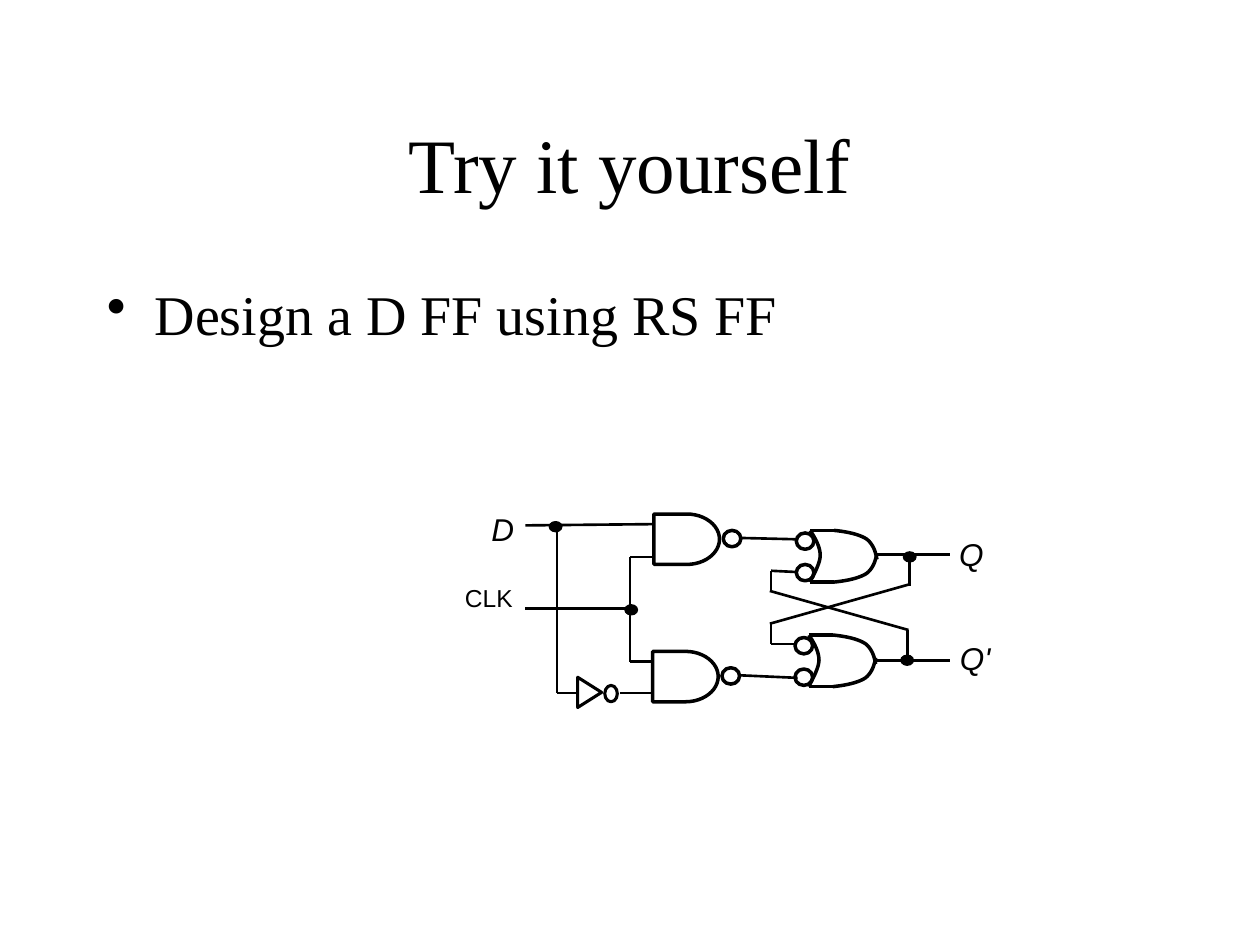
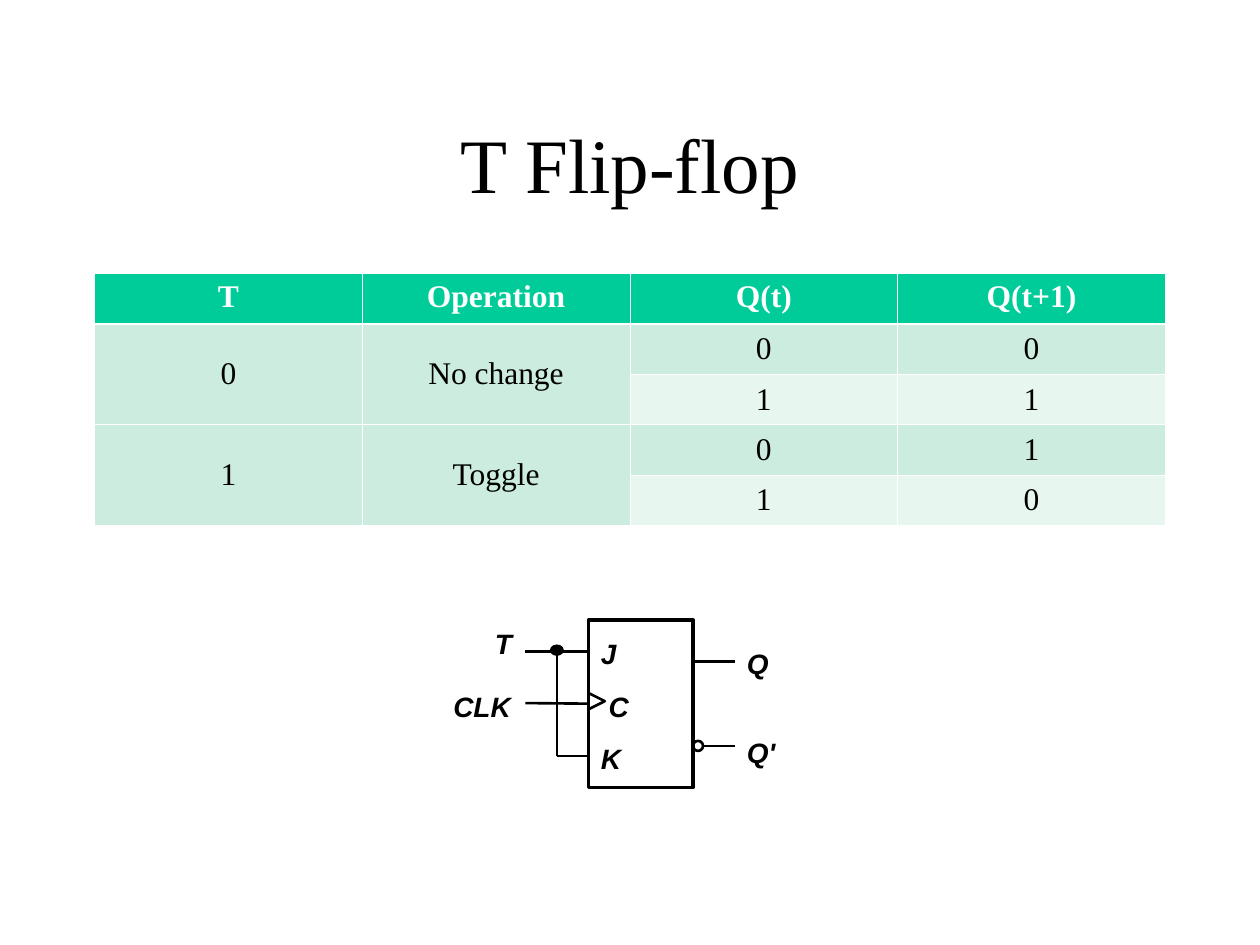
from pptx import Presentation
from pptx.dml.color import RGBColor
from pptx.enum.shapes import MSO_CONNECTOR, MSO_SHAPE
from pptx.enum.text import MSO_ANCHOR, PP_ALIGN
from pptx.oxml.ns import qn
from pptx.util import Inches, Pt
from lxml import etree

BLACK = RGBColor(0x00, 0x00, 0x00)
WHITE = RGBColor(0xFF, 0xFF, 0xFF)
HEADER_GREEN = RGBColor(0x00, 0xCC, 0x99)
BAND_DARK = RGBColor(0xCB, 0xEC, 0xDE)
BAND_LIGHT = RGBColor(0xE7, 0xF6, 0xEF)
SERIF = "Times New Roman"
SANS = "Arial"
STRAIGHT = MSO_CONNECTOR.STRAIGHT
OVAL = MSO_SHAPE.OVAL
RECTANGLE = MSO_SHAPE.RECTANGLE
DELAY = MSO_SHAPE.FLOWCHART_DELAY
EXTRACT = MSO_SHAPE.FLOWCHART_EXTRACT
TRIANGLE = MSO_SHAPE.ISOSCELES_TRIANGLE
LEFT, CENTER = PP_ALIGN.LEFT, PP_ALIGN.CENTER
TOP, MIDDLE = MSO_ANCHOR.TOP, MSO_ANCHOR.MIDDLE
TITLE_ONLY = 5
LEFT_SIDE = 1
WIRE, GATE, INVERTER, DOT = 1.5, 2, 1.75, 0.75
CURVE_STEPS = 10


def bezier(start, control_1, control_2, end):
    points = []
    for step in range(1, CURVE_STEPS + 1):
        t = step / CURVE_STEPS
        weights = ((1 - t) ** 3, 3 * t * (1 - t) ** 2, 3 * t * t * (1 - t), t ** 3)
        corners = (start, control_1, control_2, end)
        points.append(tuple(sum(w * c[axis] for w, c in zip(weights, corners))
                            for axis in (0, 1)))
    return points


class Deck:
    def __init__(self):
        self.presentation = Presentation()
        self.presentation.slide_width = Inches(10)
        self.presentation.slide_height = Inches(7.5)
        self.slide = None

    def box(self, *lengths):
        return [Inches(length) for length in lengths]

    def style_font(self, font, size, name=SERIF, color=BLACK, bold=False, italic=False):
        font.size, font.name = Pt(size), name
        font.bold, font.italic = bold, italic
        font.color.rgb = color

    def new_slide(self, title):
        layout = self.presentation.slide_layouts[TITLE_ONLY]
        self.slide = self.presentation.slides.add_slide(layout)
        shape = self.slide.shapes.title
        shape.left, shape.top, shape.width, shape.height = self.box(0.75, 0.67, 8.5, 1.25)
        shape.text_frame.text = title
        shape.text_frame.vertical_anchor = MIDDLE
        paragraph = shape.text_frame.paragraphs[0]
        paragraph.alignment = CENTER
        self.style_font(paragraph.font, 44)

    def text(self, left, top, width, height, lines, size, align=LEFT, gap=0, **style):
        shape = self.slide.shapes.add_textbox(*self.box(left, top, width, height))
        frame = shape.text_frame
        frame.word_wrap = True
        frame.margin_left = Inches(0.1 if align == LEFT else 0)
        frame.margin_right = 0
        for index, line in enumerate(lines):
            paragraph = frame.add_paragraph() if index else frame.paragraphs[0]
            paragraph.text = line
            paragraph.alignment = align
            paragraph.space_before = Pt(gap if index else 0)
            self.style_font(paragraph.font, size, **style)
        return shape

    def bullet(self, left, top, width, height, line):
        shape = self.text(left, top, width, height, [line], 32)
        properties = shape.text_frame.paragraphs[0]._p.get_or_add_pPr()
        properties.set("marL", str(Inches(0.38)))
        properties.set("indent", str(Inches(-0.38)))
        etree.SubElement(properties, qn("a:buChar")).set("char", "•")

    def outline(self, shape, weight):
        shape.line.color.rgb = BLACK
        shape.line.width = Pt(weight)

    def wire(self, x1, y1, x2, y2, weight=WIRE):
        line = self.slide.shapes.add_connector(STRAIGHT, *self.box(x1, y1, x2, y2))
        self.outline(line, weight)
        etree.SubElement(line._element.spPr, qn("a:effectLst"))
        return line

    def shape(self, kind, left, top, width, height, weight, rotation=0):
        shape = self.slide.shapes.add_shape(kind, *self.box(left, top, width, height))
        shape.shadow.inherit = False
        shape.fill.background()
        shape.rotation = rotation
        self.outline(shape, weight)
        return shape

    def junction(self, left, top):
        dot = self.shape(OVAL, left, top, 0.1, 0.08, DOT)
        dot.fill.solid()
        dot.fill.fore_color.rgb = BLACK

    def curve(self, x, y, offsets):
        corners = [(x + dx, y + dy) for dx, dy in offsets]
        points = bezier(*corners[:4]) + bezier(*corners[3:])
        builder = self.slide.shapes.build_freeform(*self.box(*corners[0]))
        builder.add_line_segments([self.box(*point) for point in points], close=False)
        shape = builder.convert_to_shape()
        shape.shadow.inherit = False
        shape.fill.background()
        self.outline(shape, GATE)

    def nand_gate(self, x, y):
        self.shape(OVAL, x + 0.55, y + 0.13, 0.14, 0.13, GATE)
        self.shape(DELAY, x, y, 0.52, 0.4, GATE)

    def or_gate(self, x, y):
        self.curve(x, y, [(0, 0), (0.04, 0.06), (0.08, 0.13), (0.08, 0.2),
                          (0.08, 0.27), (0.01, 0.38), (0, 0.41)])
        for edge in (0, 0.41):
            self.wire(x, y + edge, x + 0.19, y + edge, GATE)
        upper = [(0.19, 0), (0.29, 0.01), (0.39, 0.03), (0.45, 0.07),
                 (0.5, 0.11), (0.52, 0.17), (0.53, 0.23)]
        self.curve(x, y, upper)
        self.curve(x, y, [(dx, 0.41 - dy) for dx, dy in upper])
        for bubble in (0.02, 0.27):
            self.shape(OVAL, x - 0.11, y + bubble, 0.14, 0.13, GATE)

    def border(self, cell, side, weight):
        line = etree.SubElement(cell._tc.get_or_add_tcPr(), qn("a:" + side))
        line.set("w", str(Pt(weight)))
        fill = etree.SubElement(line, qn("a:solidFill"))
        etree.SubElement(fill, qn("a:srgbClr")).set("val", str(WHITE))

    def cell(self, cell, text, row, fill):
        thick_side = {0: "lnB", 1: "lnT"}.get(row)
        for side in ("lnL", "lnR", "lnT", "lnB"):
            self.border(cell, side, 1.47 if side == thick_side else 0.45)
        cell.fill.solid()
        cell.fill.fore_color.rgb = fill
        cell.vertical_anchor = MIDDLE if row else TOP
        cell.text = text
        paragraph = cell.text_frame.paragraphs[0]
        paragraph.alignment = CENTER
        self.style_font(paragraph.font, 18, color=BLACK if row else WHITE, bold=row == 0)

    def table(self, left, top, width, height, rows, merges):
        frame = self.slide.shapes.add_table(len(rows), len(rows[0]),
                                            *self.box(left, top, width, height))
        table = frame.table
        for row, texts in enumerate(rows):
            fill = (BAND_DARK if row % 2 else BAND_LIGHT) if row else HEADER_GREEN
            for column, text in enumerate(texts):
                self.cell(table.cell(row, column), text, row, fill)
        for row, column in merges:
            table.cell(row, column).merge(table.cell(row + 1, column))


def build_exercise(deck):
    deck.new_slide("Try it yourself")
    deck.bullet(0.75, 2.17, 8.5, 4.5, "Design a D FF using RS FF")

    wires = [
        (5.89, 4.27, 6.32, 4.28), (5.88, 5.36, 6.33, 5.38),
        (6.12, 4.53, 6.32, 4.54), (6.12, 5.11, 6.32, 5.11),
        (6.12, 4.53, 6.12, 4.69), (6.12, 4.94, 6.12, 5.11),
        (6.96, 4.4, 7.54, 4.4), (6.96, 5.24, 7.54, 5.24),
        (7.2, 5, 7.2, 5.25), (7.22, 4.4, 7.22, 4.65),
        (6.11, 4.69, 7.21, 5), (7.21, 4.64, 6.11, 4.95),
        (4.17, 4.17, 5.18, 4.16), (4.92, 5.5, 5.19, 5.5),
        (5, 4.42, 5.19, 4.42), (5, 5.25, 5.19, 5.25),
        (5, 4.42, 5, 5.25), (4.17, 4.83, 5, 4.83),
        (4.42, 4.17, 4.42, 5.5), (4.42, 5.5, 4.58, 5.5),
    ]
    for wire in wires:
        deck.wire(*wire)
    for x, y in ((7.15, 5.2), (7.17, 4.38), (4.96, 4.8), (4.36, 4.14)):
        deck.junction(x, y)
    for x, y in ((6.43, 4.21), (6.42, 5.04)):
        deck.or_gate(x, y)
    for x, y in ((5.19, 4.08), (5.18, 5.17)):
        deck.nand_gate(x, y)
    deck.shape(EXTRACT, 4.56, 5.4, 0.24, 0.19, INVERTER, rotation=90)
    deck.shape(OVAL, 4.8, 5.44, 0.1, 0.13, INVERTER)

    for x, y, label in ((3.75, 4, "D"), (7.47, 4.2, "Q"), (7.5, 5.02, "Q'")):
        deck.text(x, y, 0.48, 0.4, [label], 18, CENTER, name=SANS, italic=True)
    deck.text(3.58, 4.58, 0.6, 0.34, ["CLK"], 14, CENTER, name=SANS)


def build_t_flip_flop(deck):
    deck.new_slide("T Flip-flop")
    rows = [
        ("T", "Operation", "Q(t)", "Q(t+1)"),
        ("0", "No change", "0", "0"),
        ("", "", "1", "1"),
        ("1", "Toggle", "0", "1"),
        ("", "", "1", "0"),
    ]
    merges = [(row, column) for row in (1, 3) for column in (0, 1)]
    deck.table(0.75, 2.17, 8.5, 2, rows, merges)

    flip_flop = deck.shape(RECTANGLE, 4.67, 4.92, 0.83, 1.33, GATE)
    wires = [
        (4.17, 5.17, 4.67, 5.17), (4.42, 6, 4.67, 6), (4.42, 5.17, 4.42, 6),
        (5.5, 5.25, 5.83, 5.25), (5.58, 5.92, 5.83, 5.92),
    ]
    for wire in wires:
        deck.wire(*wire)
    clock = deck.wire(4.17, 5.58, 4.67, 5.58)
    clock.end_connect(flip_flop, LEFT_SIDE)
    deck.shape(OVAL, 5.5, 5.88, 0.08, 0.08, WIRE)
    deck.shape(TRIANGLE, 4.67, 5.5, 0.13, 0.13, WIRE, rotation=90)
    deck.junction(4.37, 5.12)

    labels = [
        (4.67, 5, 0.58, 1.18, ["J", " C", "K"], 11),
        (5.83, 5.08, 0.5, 1.07, ["Q", "Q'"], 32),
        (3.5, 5.42, 0.67, 0.37, ["CLK"], 0),
        (3.83, 4.92, 0.42, 0.37, ["T"], 0),
    ]
    for left, top, width, height, lines, gap in labels:
        deck.text(left, top, width, height, lines, 16, gap=gap,
                  name=SANS, bold=True, italic=True)


def main():
    deck = Deck()
    build_exercise(deck)
    build_t_flip_flop(deck)
    deck.presentation.save("out.pptx")


if __name__ == "__main__":
    main()
